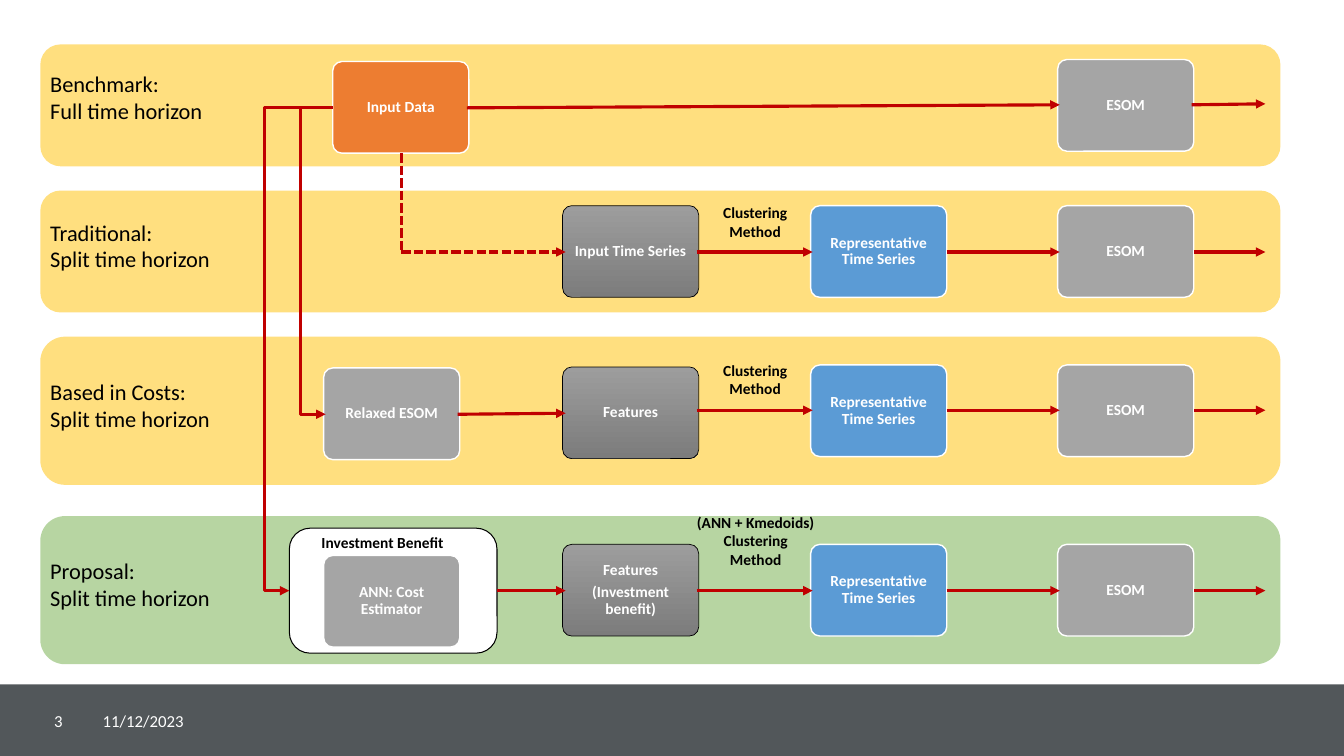
from lxml import etree
from pptx import Presentation
from pptx.dml.color import RGBColor
from pptx.enum.dml import MSO_LINE
from pptx.enum.shapes import MSO_CONNECTOR, MSO_SHAPE
from pptx.enum.text import MSO_ANCHOR, PP_ALIGN
from pptx.oxml.ns import qn
from pptx.util import Inches, Pt

RECT, ROUND = MSO_SHAPE.RECTANGLE, MSO_SHAPE.ROUNDED_RECTANGLE
STRAIGHT, ELBOW = MSO_CONNECTOR.STRAIGHT, MSO_CONNECTOR.ELBOW
LEFT, CENTER, RIGHT = PP_ALIGN.LEFT, PP_ALIGN.CENTER, PP_ALIGN.RIGHT
TOP, MIDDLE = MSO_ANCHOR.TOP, MSO_ANCHOR.MIDDLE
DASH = MSO_LINE.SQUARE_DOT
rgb = RGBColor.from_string
GRAY, ORANGE, BLUE, GRADIENT = "A5A5A5", "ED7D31", "5B9BD5", "gradient"

prs = Presentation()
prs.slide_width, prs.slide_height = Inches(13.33), Inches(7.5)
s = prs.slides.add_slide(prs.slide_layouts[6])


def write(sp, text, size, color, align, bold=False, anchor=TOP):
    tf = sp.text_frame
    tf.text = text
    tf.word_wrap = True
    tf.vertical_anchor = anchor
    for p in tf.paragraphs:
        p.alignment = align
        for r in p.runs:
            r.font.name, r.font.size, r.font.bold = "Calibri", Pt(size), bold
            r.font.color.rgb = rgb(color)


def connect(kind, x1, y1, x2, y2, arrow=True, dash=None):
    c = s.shapes.add_connector(kind, Inches(x1), Inches(y1), Inches(x2), Inches(y2))
    c.line.color.rgb = rgb("C00000")
    c.line.width = Pt(2.25)
    if dash:
        c.line.dash_style = dash
    if arrow:
        etree.SubElement(c.line._get_or_add_ln(), qn("a:tailEnd"), type="triangle")
    etree.SubElement(c._element.spPr, qn("a:effectLst"))
    return c


footer = s.shapes.add_shape(RECT, 0, Inches(6.79), prs.slide_width, Inches(0.71))
footer.shadow.inherit = False
footer.fill.solid()
footer.fill.fore_color.rgb = rgb("52575A")
footer.line.fill.background()
for x, width, text, align in [(0.92, 1.06, "11/12/2023", LEFT), (0.19, 0.53, "3", RIGHT)]:
    sp = s.shapes.add_textbox(Inches(x), Inches(6.95), Inches(width), Inches(0.4))
    write(sp, text, 12, "FFFFFF", align, anchor=MIDDLE)

bands = [
    (0.44, 1.21, "FFC000", 0.65, "Benchmark:\nFull time horizon"),
    (1.89, 1.21, "FFC000", 2.12, "Traditional:\nSplit time horizon"),
    (3.34, 1.47, "FFC000", 3.7, "Based in Costs:\nSplit time horizon"),
    (5.12, 1.47, "70AD47", 5.48, "Proposal:\nSplit time horizon"),
]
for y, height, color, label_y, label in bands:
    sp = s.shapes.add_shape(ROUND, Inches(0.4), Inches(y), Inches(12.3), Inches(height))
    sp.shadow.inherit = False
    sp.fill.solid()
    sp.fill.fore_color.rgb = rgb(color)
    srgb = sp._element.spPr.find(".//" + qn("a:srgbClr"))
    etree.SubElement(srgb, qn("a:alpha"), val="50000")
    sp.line.fill.background()
    sp = s.shapes.add_textbox(Inches(0.4), Inches(label_y), Inches(2.2), Inches(0.64))
    write(sp, label, 16, "000000", LEFT)

frame = s.shapes.add_shape(ROUND, Inches(2.87), Inches(5.24), Inches(2.06), Inches(1.24))
frame.shadow.inherit = False
frame.fill.solid()
frame.fill.fore_color.rgb = rgb("FFFFFF")
frame.line.color.rgb = rgb("000000")
frame.line.width = Pt(0.75)

boxes = [
    (3.3, 0.61, ORANGE, "Input Data"),
    (10.49, 0.59, GRAY, "ESOM"),
    (5.58, 2.04, GRADIENT, "Input Time Series"),
    (3.21, 3.65, GRAY, "Relaxed ESOM"),
    (5.58, 3.64, GRADIENT, "Features"),
    (3.21, 5.51, GRAY, "ANN: Cost Estimator"),
    (5.58, 5.4, GRADIENT, "Features\n(Investment benefit)"),
]
for y in (2.04, 3.62, 5.4):
    boxes += [(8.04, y, BLUE, "Representative Time Series"), (10.49, y, GRAY, "ESOM")]
for x, y, color, text in boxes:
    sp = s.shapes.add_shape(ROUND, Inches(x), Inches(y), Inches(1.35), Inches(0.91))
    sp.adjustments[0] = 0.1
    sp.shadow.inherit = False
    if color == GRADIENT:
        sp.fill.gradient()
        sp.fill.gradient_angle = 270
        for stop, shade in zip(sp.fill.gradient_stops, ("9D9D9D", "7C7C7C")):
            stop.color.rgb = rgb(shade)
        sp.line.color.rgb = rgb("000000")
        sp.line.width = Pt(0.5)
    else:
        sp.fill.solid()
        sp.fill.fore_color.rgb = rgb(color)
        sp.line.color.rgb = rgb("FFFFFF")
        sp.line.width = Pt(1)
    write(sp, text, 11, "FFFFFF", CENTER, True, MIDDLE)
    tf = sp.text_frame
    tf.margin_left = tf.margin_right = tf.margin_top = tf.margin_bottom = Inches(0.07)
    for p in tf.paragraphs:
        p.line_spacing = 0.9
        p.space_after = Pt(4)

arrows = [
    (4.63, 1.07, 10.51, 1.04),
    (11.82, 1.04, 12.55, 1.03),
    (4.54, 4.11, 5.61, 4.1),
    (4.93, 5.86, 5.61, 5.86),
]
for y in (2.5, 4.07, 5.86):
    arrows += [(6.91, y, 8.06, y), (9.39, y, 10.51, y), (11.84, y, 12.55, y)]
for ends in arrows:
    connect(STRAIGHT, *ends)

connect(STRAIGHT, 3.98, 1.52, 3.98, 2.5, arrow=False, dash=DASH)
connect(STRAIGHT, 3.98, 2.5, 5.61, 2.5, dash=DASH)

for end_x, end_y, bend_x in [(3.23, 4.11, 2.98), (2.87, 5.86, 2.62)]:
    c = connect(ELBOW, 3.3, 1.07, end_x, end_y)
    bend = round((3.3 - bend_x) / (3.3 - end_x) * 100000)
    guides = c._element.spPr.find(qn("a:prstGeom")).get_or_add_avLst()
    etree.SubElement(guides, qn("a:gd"), name="adj1", fmla=f"val {bend}")

captions = [
    (7, 1.97, 0.98, "Clustering\nMethod"),
    (7, 3.53, 0.98, "Clustering\nMethod"),
    (6.7, 5.04, 1.59, "(ANN + Kmedoids)\nClustering\nMethod"),
    (3.09, 5.24, 1.61, "Investment Benefit"),
]
for x, y, width, text in captions:
    sp = s.shapes.add_textbox(Inches(x), Inches(y), Inches(width), Inches(0.33))
    write(sp, text, 11, "000000", LEFT if text.startswith("Inv") else CENTER, True)

prs.save("out.pptx")
